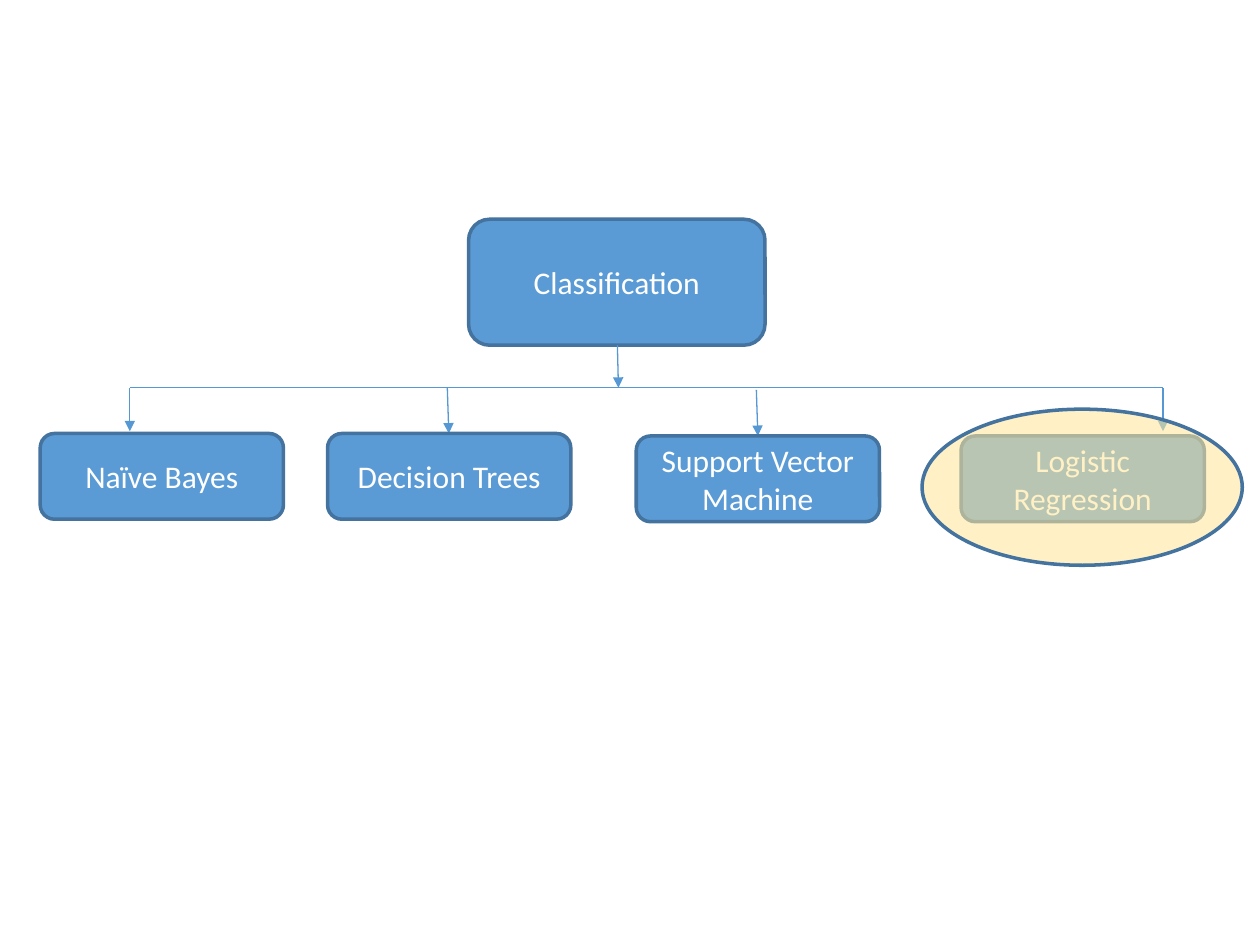
import lxml.etree
import pptx
import pptx.util
import pptx.dml.color
import pptx.enum.shapes
import pptx.enum.text
import pptx.oxml.ns

Pt = pptx.util.Pt
SHAPES = pptx.enum.shapes.MSO_SHAPE
COLORS = {
    "box": "5B9BD5",
    "outline": "43739E",
    "arrow": "5698D3",
    "highlight": "FFE699",
    "text": "FFFFFF",
}


def color(name):
    return pptx.dml.color.RGBColor.from_string(COLORS[name])


def add_xml(parent, tag, **attributes):
    lxml.etree.SubElement(parent, pptx.oxml.ns.qn(tag), **attributes)


class Diagram:
    font = "Calibri"
    font_size = 18
    outline_width = 2
    arrow_width = 0.75

    def __init__(self, slide):
        self.slide = slide

    def outlined(self, preset, left, top, width, height, fill):
        shape = self.slide.shapes.add_shape(
            preset, Pt(left), Pt(top), Pt(width), Pt(height))
        shape.shadow.inherit = False
        shape.fill.solid()
        shape.fill.fore_color.rgb = color(fill)
        shape.line.color.rgb = color("outline")
        shape.line.width = Pt(self.outline_width)
        return shape

    def box(self, text, left, top, width, height):
        shape = self.outlined(SHAPES.ROUNDED_RECTANGLE, left, top, width, height, "box")
        text_frame = shape.text_frame
        text_frame.word_wrap = True
        text_frame.vertical_anchor = pptx.enum.text.MSO_ANCHOR.MIDDLE
        text_frame.text = text
        paragraph = text_frame.paragraphs[0]
        paragraph.alignment = pptx.enum.text.PP_ALIGN.CENTER
        font = paragraph.runs[0].font
        font.name = self.font
        font.size = Pt(self.font_size)
        font.color.rgb = color("text")

    def highlight(self, left, top, width, height, opacity):
        shape = self.outlined(SHAPES.OVAL, left, top, width, height, "highlight")
        properties = shape._element.spPr
        fill_color = properties.find(".//" + pptx.oxml.ns.qn("a:srgbClr"))
        add_xml(fill_color, "a:alpha", val=str(opacity * 1000))

    def line(self, x1, y1, x2, y2, arrow=True):
        connector = self.slide.shapes.add_connector(
            pptx.enum.shapes.MSO_CONNECTOR.STRAIGHT, Pt(x1), Pt(y1), Pt(x2), Pt(y2))
        connector.line.color.rgb = color("arrow")
        connector.line.width = Pt(self.arrow_width)
        properties = connector._element.spPr
        if arrow:
            outline = properties.find(pptx.oxml.ns.qn("a:ln"))
            add_xml(outline, "a:tailEnd", type="triangle")
        add_xml(properties, "a:effectLst")


def main():
    presentation = pptx.Presentation()
    presentation.slide_width = Pt(720)
    presentation.slide_height = Pt(540)
    diagram = Diagram(presentation.slides.add_slide(presentation.slide_layouts[6]))

    # Root and the bar below it
    bar_y = 221.6
    diagram.box("Classification", 267.8, 125.3, 169.4, 72)
    diagram.line(352.8, 197.3, 353.4, bar_y)
    diagram.line(74.2, bar_y, 664.6, bar_y, arrow=False)

    # Methods: text, left, top, then arrow start and end
    methods = [
        ("Naïve Bayes", 23, 247.7, (74.2, bar_y), (74.2, 246.4)),
        ("Decision Trees", 187.2, 247.7, (255.6, bar_y), (256.5, 247.7)),
        ("Support Vector Machine", 363.6, 249.1, (432.2, 222.8), (433.1, 249.1)),
        ("Logistic Regression", 549.2, 249.1, (664.6, bar_y), (664.6, 246.4)),
    ]
    for text, left, top, start, end in methods:
        diagram.line(*start, *end)
        diagram.box(text, left, top, 139, 49)

    # Translucent ellipse over the last method
    diagram.highlight(526.9, 233.8, 183, 89.2, opacity=57)

    presentation.save("out.pptx")


if __name__ == "__main__":
    main()
